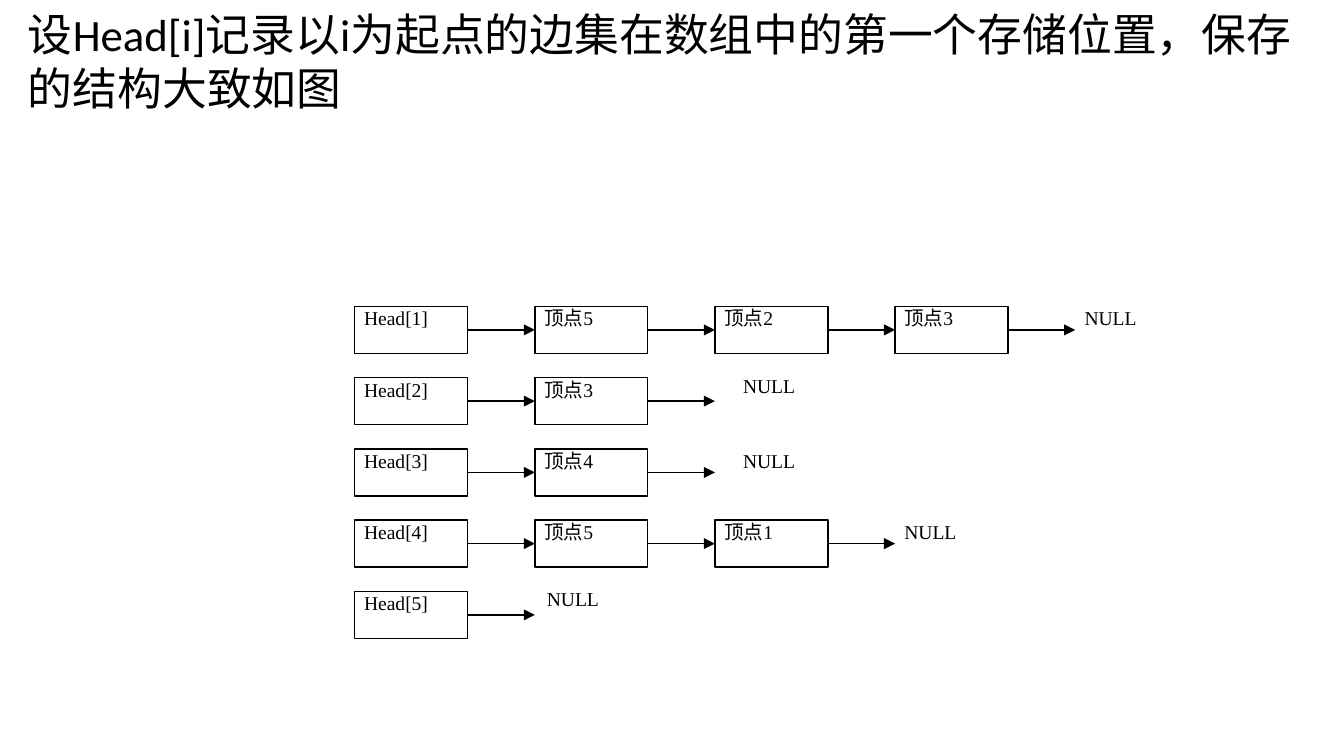
import pptx
import pptx.util
import pptx.dml.color
import pptx.enum.shapes
import pptx.enum.text
import pptx.oxml.ns
from lxml import etree

# Content
TITLE = "设Head[i]记录以i为起点的边集在数组中的第一个存储位置，保存的结构大致如图"
END = "NULL"
# Each row: linked boxes, then the (right, down) nudge of its end label
ROWS = [
    (["Head[1]", "顶点5", "顶点2", "顶点3"], (0, 0)),
    (["Head[2]", "顶点3"], (0.14, -0.03)),
    (["Head[3]", "顶点4"], (0.14, 0)),
    (["Head[4]", "顶点5", "顶点1"], (0, 0)),
    (["Head[5]"], (0.02, -0.03)),
]

# Theme and grid, in inches and points
THEME = dict(ink="000000", title="Calibri", body="Times New Roman",
             big=24, small=10.5, line=0.75)
WIDE = 10
HIGH = WIDE * 9 / 16
LEFT, TOP = 2.64, 2.28
STEP, PITCH = 1.34, 0.53
BOX_W, BOX_H = 0.84, 0.35

inch = pptx.util.Inches
ink = pptx.dml.color.RGBColor.from_string(THEME["ink"])
kinds = pptx.enum.shapes

deck = pptx.Presentation()
deck.slide_width, deck.slide_height = inch(WIDE), inch(HIGH)
slide = deck.slides.add_slide(deck.slide_layouts[6])


def write(shape, text, font=THEME["body"], size=THEME["small"],
          inset=0, indent=0.07, align=pptx.enum.text.PP_ALIGN.JUSTIFY):
    frame = shape.text_frame
    frame.word_wrap = True
    frame.vertical_anchor = pptx.enum.text.MSO_ANCHOR.TOP
    if inset is not None:
        frame.margin_left = frame.margin_right = inch(inset)
        frame.margin_top = frame.margin_bottom = inch(inset)
    para = frame.paragraphs[0]
    para.alignment = align
    if indent:
        props = para._p.get_or_add_pPr()
        props.set("marL", "0")
        props.set("indent", str(inch(indent)))
    run = para.add_run()
    run.text = text
    run.font.name = font
    run.font.size = pptx.util.Pt(size)
    run.font.color.rgb = ink


def stroke(line):
    line.color.rgb = ink
    line.width = pptx.util.Pt(THEME["line"])


def box(text, x, y):
    shape = slide.shapes.add_shape(kinds.MSO_SHAPE.RECTANGLE, inch(x), inch(y),
                                   inch(BOX_W), inch(BOX_H))
    shape.shadow.inherit = False
    shape.fill.background()
    stroke(shape.line)
    write(shape, text)
    return shape


def label(text, x, y):
    shape = slide.shapes.add_textbox(inch(x), inch(y), inch(BOX_W), inch(BOX_H))
    write(shape, text)
    return shape


def arrow(start, x, y, goal=None):
    link = slide.shapes.add_connector(kinds.MSO_CONNECTOR.STRAIGHT,
                                      inch(x - STEP + BOX_W), inch(y), inch(x), inch(y))
    link.begin_connect(start, 3)
    if goal is not None:
        link.end_connect(goal, 1)
    stroke(link.line)
    head = etree.SubElement(link.line._get_or_add_ln(), pptx.oxml.ns.qn("a:tailEnd"))
    head.set("type", "triangle")
    etree.SubElement(link._element.spPr, pptx.oxml.ns.qn("a:effectLst"))


# Title
title = slide.shapes.add_textbox(inch(0.11), 0, inch(9.85), inch(0.91))
write(title, TITLE, font=THEME["title"], size=THEME["big"], inset=None,
      indent=0, align=None)
title.text_frame.auto_size = pptx.enum.text.MSO_AUTO_SIZE.SHAPE_TO_FIT_TEXT

# Linked lists
for row, (names, (right, down)) in enumerate(ROWS):
    y = TOP + row * PITCH
    mid = y + BOX_H / 2
    last = None
    for col, name in enumerate(names):
        x = LEFT + col * STEP
        node = box(name, x, y)
        if last is not None:
            arrow(last, x, mid, node)
        last = node
    x = LEFT + len(names) * STEP
    tail = label(END, x + right, y + down)
    arrow(last, x, mid, None if right or down else tail)

deck.save("out.pptx")
